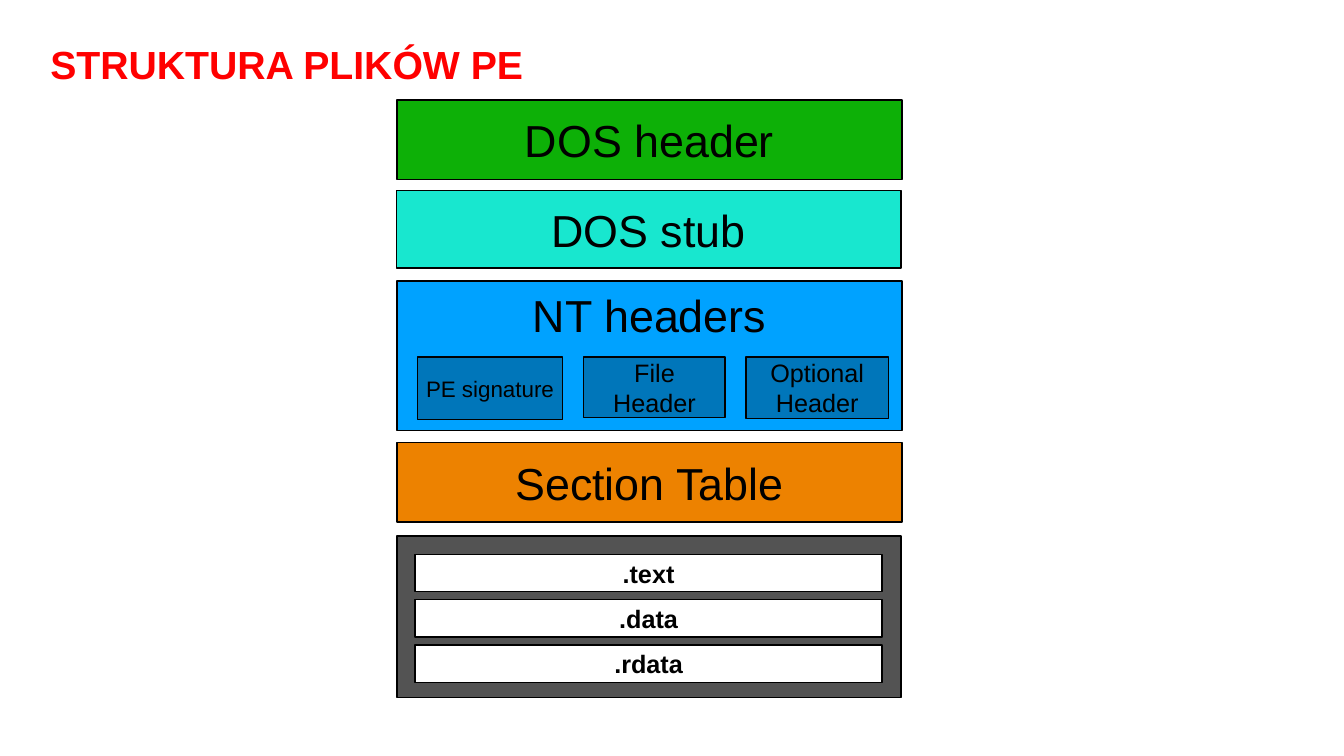
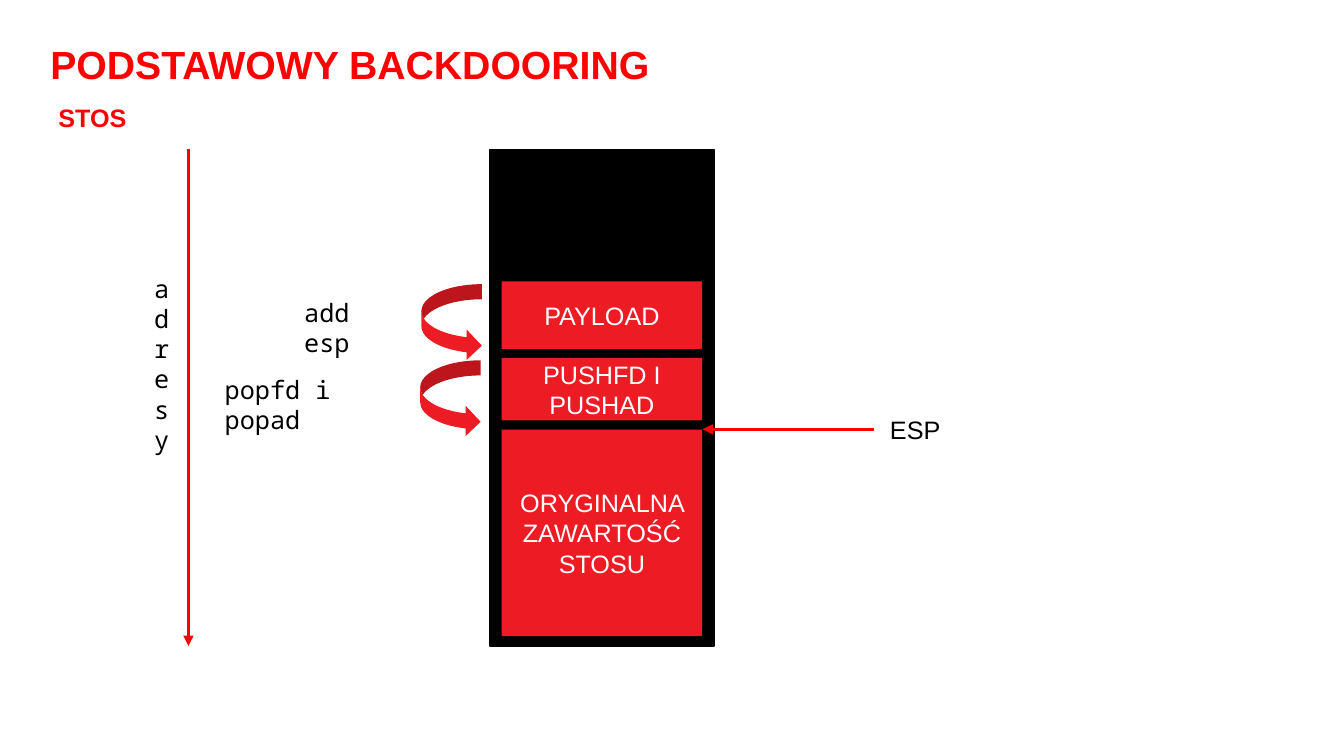
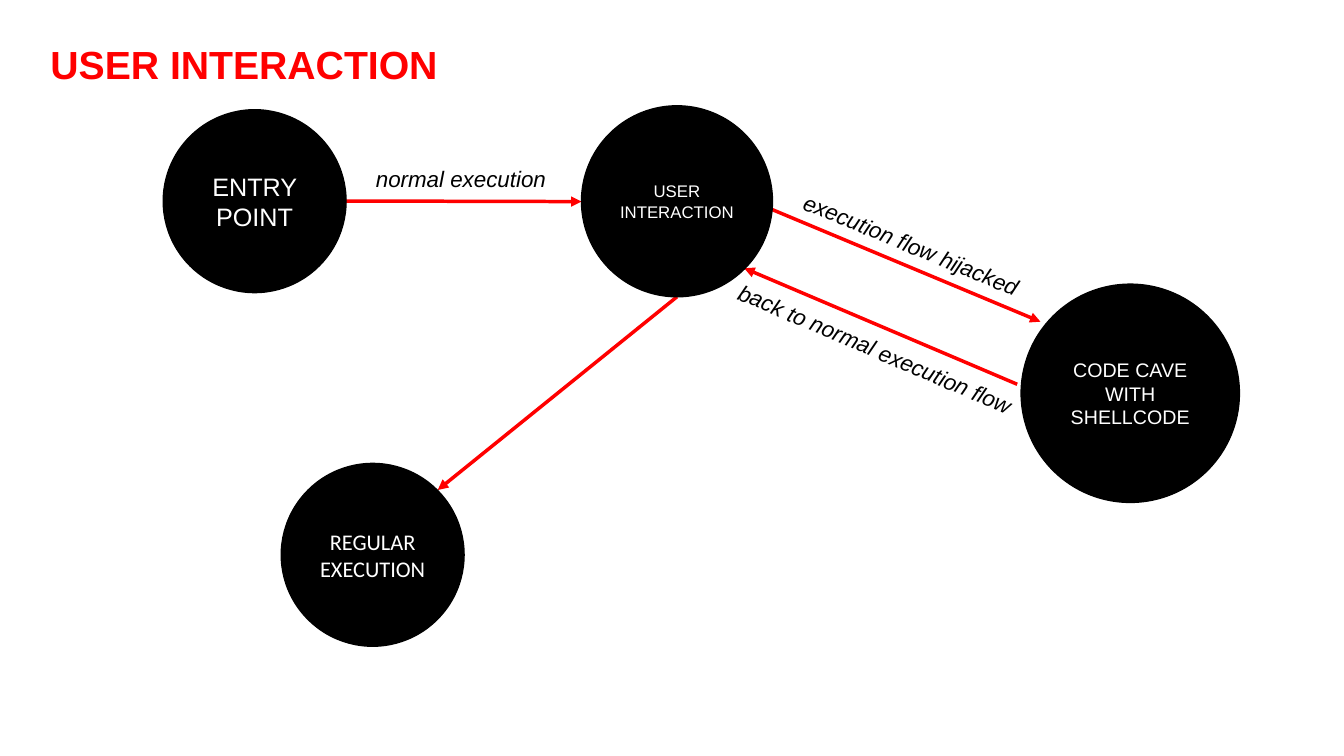
"""Builds three slides on PE files, stack layout and execution flow."""
from dataclasses import dataclass

from lxml import etree
from pptx import Presentation
from pptx.dml.color import RGBColor
from pptx.enum.shapes import MSO_CONNECTOR, MSO_SHAPE
from pptx.enum.text import MSO_ANCHOR, MSO_AUTO_SIZE, PP_ALIGN
from pptx.oxml.ns import qn
from pptx.util import Pt

RECTANGLE, OVAL = MSO_SHAPE.RECTANGLE, MSO_SHAPE.OVAL
CURVED_ARROW = MSO_SHAPE.CURVED_RIGHT_ARROW
STRAIGHT = MSO_CONNECTOR.STRAIGHT
TOP, MIDDLE = MSO_ANCHOR.TOP, MSO_ANCHOR.MIDDLE
LEFT, CENTER = PP_ALIGN.LEFT, PP_ALIGN.CENTER
FIT_SHAPE = MSO_AUTO_SIZE.SHAPE_TO_FIT_TEXT


@dataclass(frozen=True)
class Theme:
    """Colours, fonts and type sizes of the deck."""
    red: str = "FF0000"
    block_red: str = "ED1B24"
    black: str = "000000"
    white: str = "FFFFFF"
    green: str = "0DB007"
    aqua: str = "18E7CF"
    blue: str = "00A2FF"
    deep_blue: str = "0076BA"
    orange: str = "ED8200"
    grey: str = "535353"
    sans: str = "Arial"
    humanist: str = "Calibri"
    mono: str = "Noto Sans Mono"
    title: int = 28
    header: int = 32
    body: int = 18
    label: int = 16
    small: int = 14
    tiny: int = 12


THEME = Theme()

PE_TITLE = ("STRUKTURA PLIKÓW PE", 356)
PE_HEADERS = [
    ("DOS header", 283.7, 71.3, 57, THEME.green, MIDDLE),
    ("DOS stub", 283, 136, 55.5, THEME.aqua, MIDDLE),
    ("NT headers", 283.7, 200.8, 106.7, THEME.blue, TOP),
    ("Section Table", 283.7, 316, 56.8, THEME.orange, MIDDLE),
]
NT_PARTS = [
    ("PE signature", 104, 44.6, THEME.label),
    ("File Header", 101, 43.2, THEME.body),
    ("Optional Header", 101.5, 43.9, THEME.body),
]
SECTIONS = [".text", ".data", ".rdata"]

STACK_TITLE = ("PODSTAWOWY BACKDOORING", 447)
STACK_BLOCKS = [
    ("PAYLOAD", 48.2),
    ("PUSHFD I PUSHAD", 44.6),
    ("ORYGINALNA ZAWARTOŚĆ STOSU", 147.6),
]
UNWINDING = [
    ("add esp", (210.2, 208.8, 84.2, 28.8), (301, 203)),
    ("popfd i popad", (153.4, 263.5, 144, 28.8), (300.2, 257.4)),
]

FLOW_TITLE = ("USER INTERACTION", 294)
STATES = [
    ("ENTRY POINT", 116.6, 78.4, 130.6, THEME.body, THEME.sans),
    ("USER INTERACTION", 415.4, 75.6, 136.4, THEME.tiny, THEME.sans),
    ("REGULAR EXECUTION", 200.9, 331, 130.6, THEME.label, THEME.humanist),
    ("CODE CAVE WITH SHELLCODE", 729.4, 203, 155.9, THEME.small, THEME.sans),
]
TRANSITIONS = [
    ((247.2, 143.6), (415.4, 144)),
    ((551.8, 149.8), (743.2, 229.8)),
    ((726.6, 274.5), (531.6, 191.6)),
    ((483.6, 212), (312.7, 350)),
]
TRANSITION_LABELS = [
    ("normal execution", (261.4, 114.5, 140.4, 26.6), 0),
    ("execution flow hijacked", (561.6, 162, 180.7, 26.6), 22.4),
    ("back to normal execution flow", (512.6, 237.6, 232.6, 26.6), 23.2),
]

deck = Presentation()
deck.slide_width, deck.slide_height = Pt(960), Pt(540)
title_layout = deck.slide_layouts[5]


def color(value):
    """Turn a hex code into a colour."""
    return RGBColor.from_string(value)


def write(frame, text, size, ink, font=THEME.sans, align=LEFT, bold=False, italic=False):
    """Put one formatted paragraph into a text frame."""
    frame.text = text
    paragraph = frame.paragraphs[0]
    paragraph.alignment = align
    paragraph.font.size, paragraph.font.name = Pt(size), font
    paragraph.font.bold, paragraph.font.italic = bold, italic
    paragraph.font.color.rgb = color(ink)


def place(bounds):
    """Convert a tuple of points to lengths."""
    return [Pt(value) for value in bounds]


def titled_slide(text, width):
    """Add a slide with the shared title style."""
    slide = deck.slides.add_slide(title_layout)
    title = slide.shapes.title
    title.left, title.top, title.width, title.height = place((28.8, 25.2, width, 41))
    frame = title.text_frame
    write(frame, text, THEME.title, THEME.red, bold=True)
    frame.word_wrap, frame.auto_size = False, FIT_SHAPE
    frame.vertical_anchor = TOP
    return slide


def block(slide, kind, bounds, fill, outline=None):
    """Add a flat preset shape."""
    shape = slide.shapes.add_shape(kind, *place(bounds))
    shape.shadow.inherit = False
    shape.fill.solid()
    shape.fill.fore_color.rgb = color(fill)
    if outline:
        shape.line.color.rgb = color(outline)
        shape.line.width = Pt(1)
    else:
        shape.line.fill.background()
    return shape


def pe_block(slide, text, bounds, fill, size, anchor=MIDDLE, bold=False):
    """Add an outlined file part with tight margins."""
    frame = block(slide, RECTANGLE, bounds, fill, THEME.black).text_frame
    write(frame, text, size, THEME.black, align=CENTER, bold=bold)
    frame.vertical_anchor = anchor
    frame.margin_left = frame.margin_right = Pt(4.5)
    frame.margin_top = frame.margin_bottom = Pt(4.5)


def caption(slide, text, bounds, size=THEME.body, ink=THEME.black, wrap=False, **style):
    """Add a free text label."""
    box = slide.shapes.add_textbox(*place(bounds))
    frame = box.text_frame
    write(frame, text, size, ink, **style)
    frame.word_wrap, frame.auto_size = wrap, FIT_SHAPE
    return box


def arrow(slide, start, end):
    """Add a red line with an arrowhead at its end."""
    line = slide.shapes.add_connector(STRAIGHT, *place(start + end))
    line.line.color.rgb = color(THEME.red)
    line.line.width = Pt(2.5)
    etree.SubElement(line.line._get_or_add_ln(), qn("a:tailEnd"), type="triangle")
    etree.SubElement(line._element.spPr, qn("a:effectLst"))


def build_pe_structure():
    """Draw the parts of a PE file from top to bottom."""
    slide = titled_slide(*PE_TITLE)
    for text, left, top, height, fill, anchor in PE_HEADERS:
        pe_block(slide, text, (left, top, 360.6, height), fill, THEME.header, anchor)
    left = 298
    for text, width, height, size in NT_PARTS:
        pe_block(slide, text, (left, 255, width, height), THEME.deep_blue, size)
        left += width + 15
    block(slide, RECTANGLE, (283.7, 383, 360, 115.2), THEME.grey, THEME.black)
    for row, text in enumerate(SECTIONS):
        bounds = (296.6, 396 + 32.4 * row, 333.4, 26.6)
        pe_block(slide, text, bounds, THEME.white, THEME.body, bold=True)


def build_stack():
    """Draw the stack with its pointer and address axis."""
    slide = titled_slide(*STACK_TITLE)
    caption(slide, "STOS", (34.6, 69.8, 63.4, 41), ink=THEME.red, bold=True)
    block(slide, RECTANGLE, (350, 106.6, 160, 355), THEME.black, THEME.black)
    top = 201
    for text, height in STACK_BLOCKS:
        shape = block(slide, RECTANGLE, (358.3, top, 143.3, height), THEME.block_red)
        write(shape.text_frame, text, THEME.body, THEME.white, align=CENTER)
        shape.text_frame.vertical_anchor = MIDDLE
        top += height + 6.5
    for text, bounds, corner in UNWINDING:
        caption(slide, text, bounds, wrap=True, font=THEME.mono)
        block(slide, CURVED_ARROW, corner + (43.2, 54.7), THEME.block_red)
    arrow(slide, (624.2, 306.7), (501.8, 306.7))
    caption(slide, "ESP", (628.6, 292.3, 51, 28.8))
    arrow(slide, (134.6, 106.6), (134.6, 461.5))
    axis = caption(slide, "adresy", (103, 191.5, 39.6, 156.2), font=THEME.mono)
    axis.text_frame._txBody.bodyPr.set("vert", "wordArtVert")


def build_flow():
    """Draw the states of the hijacked program and the moves between them."""
    slide = titled_slide(*FLOW_TITLE)
    for start, end in TRANSITIONS:
        arrow(slide, start, end)
    for text, left, top, diameter, size, font in STATES:
        bounds = (left, top, diameter, diameter)
        state = block(slide, OVAL, bounds, THEME.black, THEME.black)
        write(state.text_frame, text, size, THEME.white, font, CENTER)
        state.text_frame.vertical_anchor = MIDDLE
    for text, bounds, angle in TRANSITION_LABELS:
        caption(slide, text, bounds, THEME.label, italic=True).rotation = angle


build_pe_structure()
build_stack()
build_flow()
deck.save("out.pptx")
